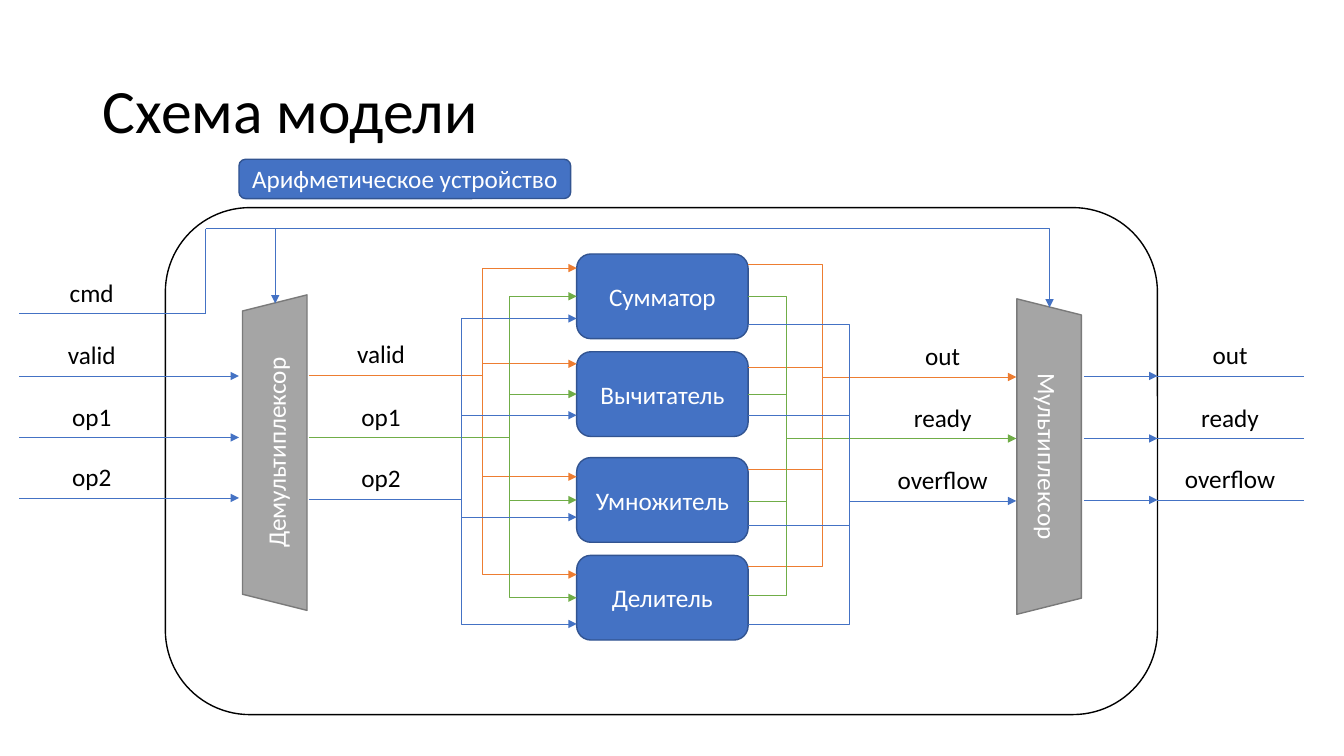
from dataclasses import dataclass

from lxml import etree
from pptx import Presentation
from pptx.dml.color import RGBColor
from pptx.enum.shapes import MSO_CONNECTOR, MSO_SHAPE
from pptx.enum.text import MSO_ANCHOR, MSO_AUTO_SIZE, PP_ALIGN
from pptx.oxml.ns import qn
from pptx.util import Pt

EMU_PER_PX = 9144
ROUNDED, TRAPEZOID = MSO_SHAPE.ROUNDED_RECTANGLE, MSO_SHAPE.TRAPEZOID
STRAIGHT, ELBOW = MSO_CONNECTOR.STRAIGHT, MSO_CONNECTOR.ELBOW
LEFT, CENTER = PP_ALIGN.LEFT, PP_ALIGN.CENTER
MIDDLE, TOP = MSO_ANCHOR.MIDDLE, MSO_ANCHOR.TOP
GROW = MSO_AUTO_SIZE.SHAPE_TO_FIT_TEXT
TITLE_ONLY = 5


@dataclass(frozen=True)
class Theme:
    """Colours, font and sizes of the slide."""
    font: str = "Calibri"
    title_size: int = 44
    body_size: int = 18
    wire_width: float = 0.5
    outline_width: float = 1
    black: str = "000000"
    white: str = "FFFFFF"
    blue: str = "4472C4"
    blue_edge: str = "325491"
    gray: str = "A5A5A5"
    gray_edge: str = "7A7A7A"
    orange: str = "ED7D31"
    green: str = "70AD47"


THEME = Theme()

LEAD = 145
FRAME_LEFT, FRAME_RIGHT = 164, 1148
DEMUX_RIGHT, MUX_LEFT = 306, 1008
BLOCK_LEFT, BLOCK_WIDTH, BLOCK_HEIGHT = 572, 170, 84
CMD_Y, CMD_TOP, CMD_TURN = 311, 227, 204
BLOCKS = [("Сумматор", 252), ("Вычитатель", 349), ("Умножитель", 454), ("Делитель", 551)]
OUTER_INPUTS = [("valid", 373), ("op1", 434), ("op2", 494)]
OUTER_OUTPUTS = [("out", 373), ("ready", 435), ("overflow", 496)]
INPUT_BUSES = [
    ("valid", 372, THEME.orange, 478, [266, 361, 473, 570]),
    ("op1", 434, THEME.green, 505, [294, 391, 496, 593]),
    ("op2", 495, THEME.blue, 458, [316, 412, 513, 619]),
]
OUTPUT_BUSES = [
    ("out", 374, THEME.orange, 816, [262, 364, 466, 562]),
    ("ready", 435, THEME.green, 780, [294, 391, 497, 591]),
    ("overflow", 497, THEME.blue, 842, [322, 412, 521, 619]),
]


def emu(*lengths):
    """Turn px lengths into EMU."""
    return [length * EMU_PER_PX for length in lengths]


def write(shape, text, size, color, align=CENTER, anchor=MIDDLE):
    """Set and format the text of a shape."""
    frame = shape.text_frame
    frame.text = text
    frame.word_wrap = True
    frame.vertical_anchor = anchor
    para = frame.paragraphs[0]
    para.alignment = align
    for span in para.runs:
        span.font.name = THEME.font
        span.font.size = Pt(size)
        span.font.color.rgb = RGBColor.from_string(color)


def add_title(page, text):
    """Place and fill the title placeholder."""
    title = page.shapes.title
    title.left, title.top, title.width, title.height = emu(92, 40, 1150, 145)
    write(title, text, THEME.title_size, THEME.black, LEFT)
    title.text_frame.paragraphs[0].line_spacing = 0.9


def add_block(page, kind, bounds, fill, edge, text="", rotation=0):
    """Add a filled and outlined shape, with text if given."""
    box = page.shapes.add_shape(kind, *emu(*bounds))
    box.shadow.inherit = False
    box.rotation = rotation
    box.fill.solid()
    box.fill.fore_color.rgb = RGBColor.from_string(fill)
    box.line.color.rgb = RGBColor.from_string(edge)
    box.line.width = Pt(THEME.outline_width)
    if text:
        write(box, text, THEME.body_size, THEME.white)


def add_wire(page, start, end, color=THEME.blue, arrow=False, kind=STRAIGHT):
    """Add a thin connector, with an arrowhead at its end if asked."""
    wire = page.shapes.add_connector(kind, *emu(*start, *end))
    wire.line.color.rgb = RGBColor.from_string(color)
    wire.line.width = Pt(THEME.wire_width)
    properties = wire._element.spPr
    if arrow:
        etree.SubElement(properties.find(qn("a:ln")), qn("a:tailEnd"), type="triangle")
    etree.SubElement(properties, qn("a:effectLst"))
    return wire


def add_elbow(page, start, end, color=THEME.blue, arrow=False, vertical_first=False):
    """Add a wire with one right-angled turn."""
    wire = add_wire(page, start, end, color, arrow, ELBOW)
    geometry = wire._element.spPr.find(qn("a:prstGeom"))
    if vertical_first:
        guides = geometry.find(qn("a:avLst"))
        etree.SubElement(guides, qn("a:gd"), name="adj1", fmla="val 0")
    else:
        geometry.set("prst", "bentConnector2")


def add_signal(page, name, left, y, color=THEME.blue, arrow=False):
    """Add a horizontal wire with its name above."""
    add_wire(page, (left, y), (left + LEAD, y), color, arrow)
    label = page.shapes.add_textbox(*emu(left + 5, y - 41, LEAD - 11, 40))
    write(label, name, THEME.body_size, THEME.black, anchor=TOP)
    label.text_frame.auto_size = GROW


def add_outer_signals(page):
    """Add the wires that enter and leave the device."""
    for name, y in OUTER_INPUTS:
        add_signal(page, name, FRAME_LEFT - LEAD, y)
        add_wire(page, (FRAME_LEFT, y), (237, y), arrow=True)
    for name, y in OUTER_OUTPUTS:
        add_wire(page, (1075, y), (FRAME_RIGHT, y), arrow=True)
        add_signal(page, name, FRAME_RIGHT, y)


def add_command(page):
    """Add the command wire that drives both selectors."""
    add_signal(page, "cmd", FRAME_LEFT - LEAD, CMD_Y)
    add_wire(page, (FRAME_LEFT, CMD_Y), (CMD_TURN, CMD_Y))
    add_wire(page, (CMD_TURN, CMD_Y), (CMD_TURN, CMD_TOP))
    add_elbow(page, (CMD_TURN, CMD_TOP), (273, 301), arrow=True)
    add_elbow(page, (270, CMD_TOP), (1041, 305), arrow=True)


def add_buses(page):
    """Add the buses between the selectors and the four units."""
    for name, y, color, trunk, pins in INPUT_BUSES:
        add_signal(page, name, DEMUX_RIGHT, y, color)
        add_wire(page, (DEMUX_RIGHT + LEAD, y), (trunk, y), color)
        for pin in pins:
            add_elbow(page, (trunk, y), (BLOCK_LEFT, pin), color, True, True)
    for name, y, color, trunk, pins in OUTPUT_BUSES:
        for pin in pins:
            add_elbow(page, (BLOCK_LEFT + BLOCK_WIDTH, pin), (trunk, y), color)
        add_wire(page, (MUX_LEFT - LEAD, y), (trunk, y), color)
        add_signal(page, name, MUX_LEFT - LEAD, y, color, True)


def main():
    """Build the slide and save the deck."""
    deck = Presentation()
    deck.slide_width, deck.slide_height = emu(1333, 750)
    page = deck.slides.add_slide(deck.slide_layouts[TITLE_ONLY])
    add_title(page, "Схема модели")
    add_block(page, ROUNDED, (FRAME_LEFT, 206, FRAME_RIGHT - FRAME_LEFT, 503),
              THEME.white, THEME.black)
    add_block(page, ROUNDED, (237, 158, 329, 39), THEME.blue, THEME.blue_edge,
              "Арифметическое устройство")
    add_outer_signals(page)
    add_block(page, TRAPEZOID, (116, 417, 313, 64), THEME.gray, THEME.gray_edge,
              "Демультиплексор", 270)
    add_block(page, TRAPEZOID, (884, 421, 313, 64), THEME.gray, THEME.gray_edge,
              "Мультиплексор", 90)
    for name, top in BLOCKS:
        add_block(page, ROUNDED, (BLOCK_LEFT, top, BLOCK_WIDTH, BLOCK_HEIGHT),
                  THEME.blue, THEME.blue_edge, name)
    add_command(page)
    add_buses(page)
    deck.save("out.pptx")


if __name__ == "__main__":
    main()
